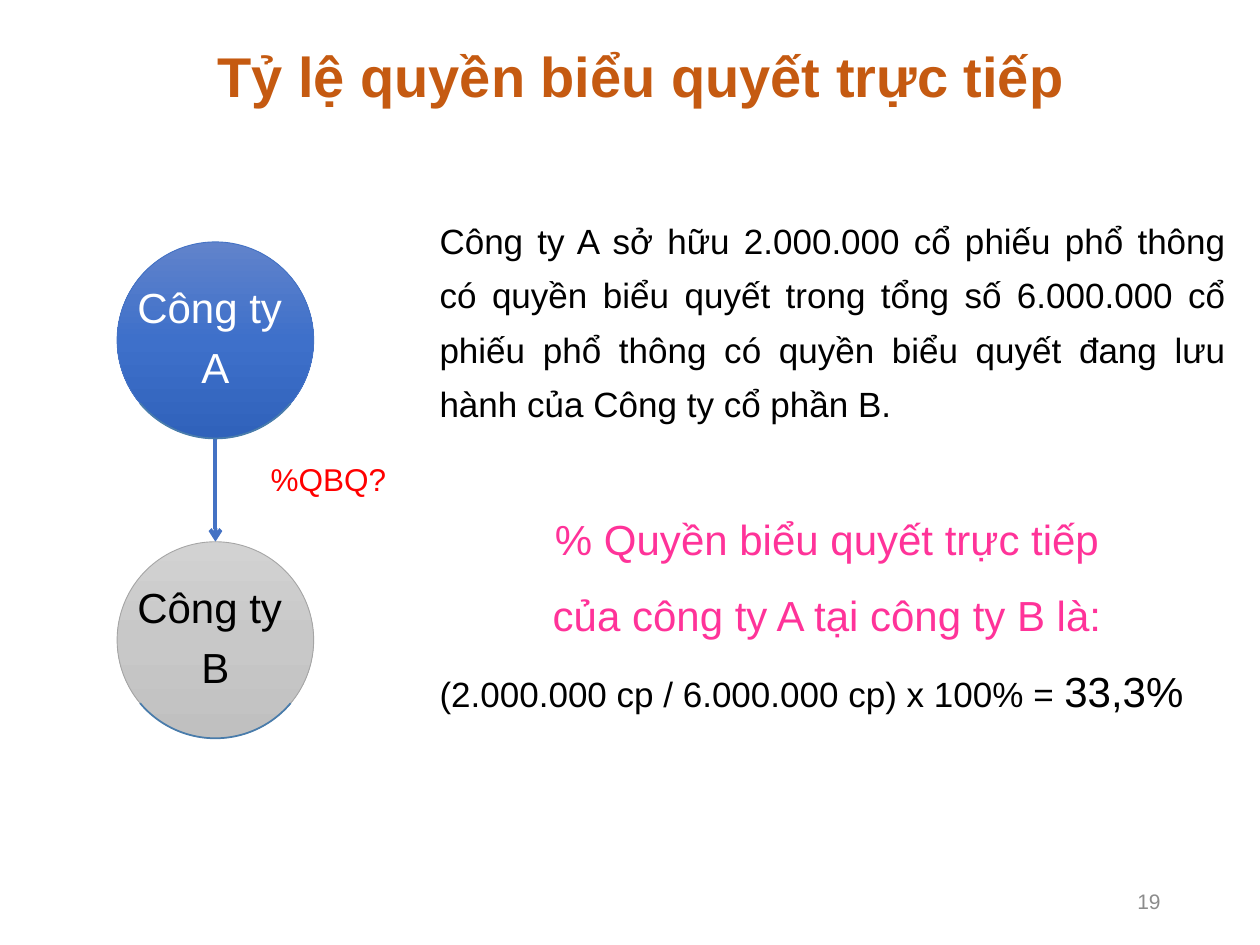
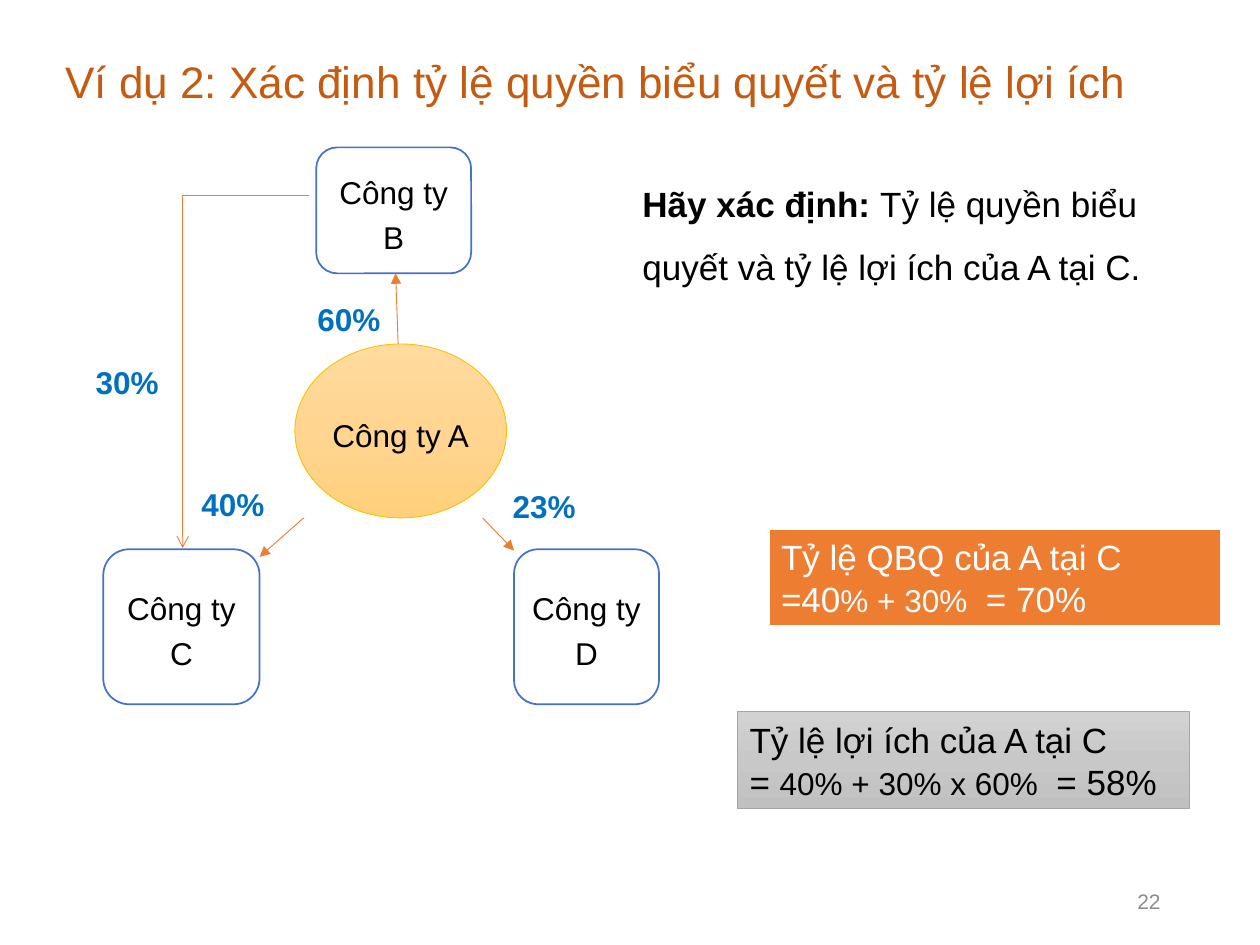
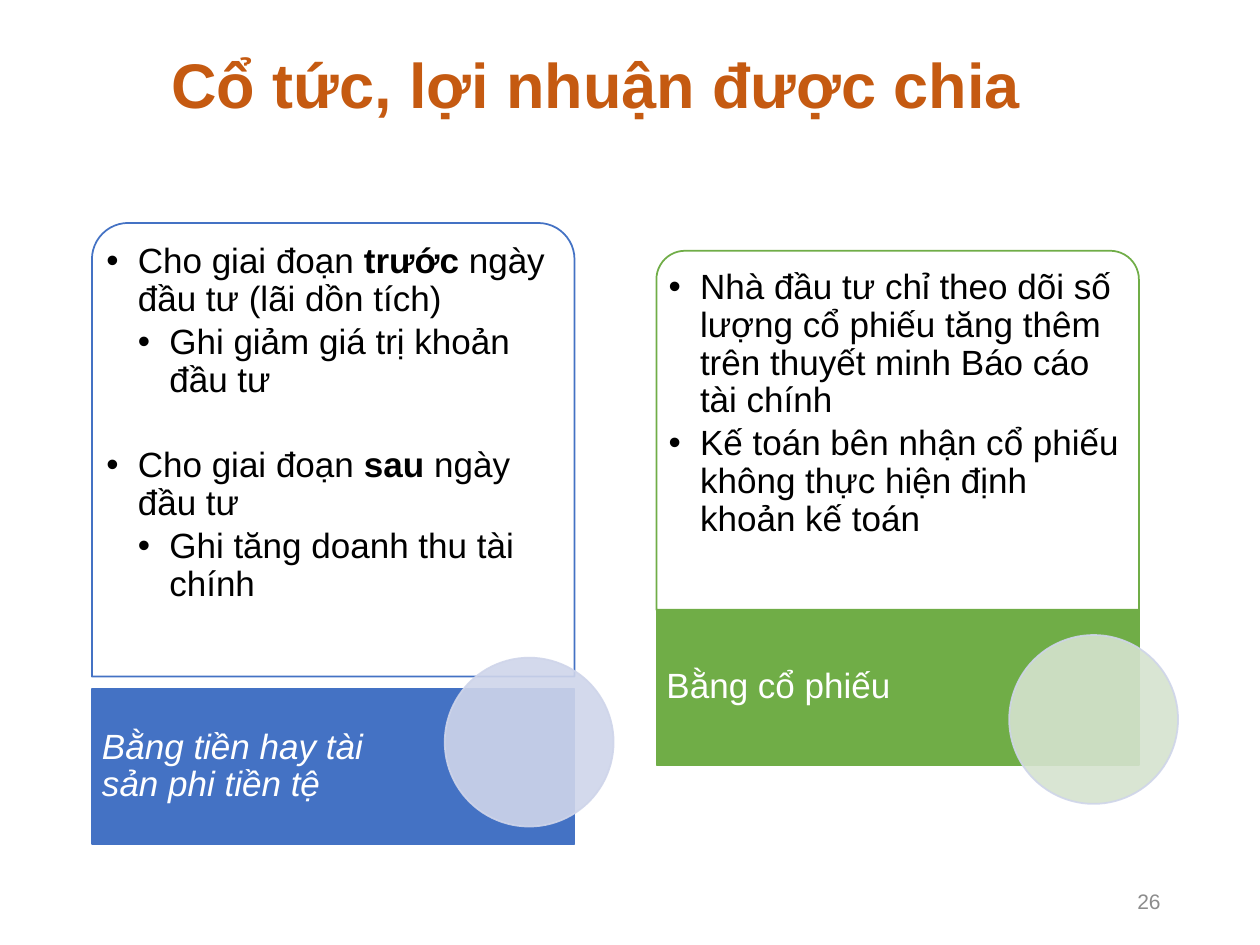
from copy import deepcopy
from dataclasses import dataclass

from lxml.etree import SubElement
from pptx import Presentation
from pptx.dml.color import RGBColor
from pptx.enum.shapes import MSO_CONNECTOR, MSO_SHAPE
from pptx.enum.text import MSO_ANCHOR, PP_ALIGN
from pptx.oxml.ns import qn
from pptx.util import Inches, Pt

COLS, ROWS = 100, 75
FONT = "Arial"
BLACK, WHITE, RED, PINK = "000000", "FFFFFF", "FF0000", "FF3399"
TITLE, BLUE, GREEN, ORANGE = "C55A11", "4472C4", "70AD47", "ED7D31"
PERCENT, ARC, PAGE, DISC = "0070C0", "497CAB", "8C8C8C", "CFD5EA"
GRAY, GOLD = "A5A5A5", "FFC000"
BLUE_FADE = ("6183CB", "3E70CA", "3062BB")
GRAY_FADE = ("D2D2D2", "C8C8C8", "C0C0C0")
GOLD_FADE = ("FFDB9E", "FFD590", "FFD07C")
CENTER, RIGHT, JUSTIFY = PP_ALIGN.CENTER, PP_ALIGN.RIGHT, PP_ALIGN.JUSTIFY
MIDDLE, BOTTOM = MSO_ANCHOR.MIDDLE, MSO_ANCHOR.BOTTOM


@dataclass
class Run:
    """A stretch of text in one style."""
    text: str
    size: float = 20
    color: str = BLACK
    bold: bool = False
    italic: bool = False


@dataclass
class Para:
    """A paragraph of runs; level 1 and up carries a bullet."""
    runs: list
    align: PP_ALIGN = PP_ALIGN.LEFT
    line: float = 1.0
    before: float = 0
    after: float = 0
    level: int = 0


def grid(*values):
    """Turn grid units into lengths; a unit is one column or row."""
    return [Inches(v / 10) for v in values]


def rgb(value):
    """Return the colour of a hex string."""
    return RGBColor.from_string(value)


def bullet(p, level):
    """Give a paragraph a hanging bullet for its level."""
    pPr = p._p.get_or_add_pPr()
    pPr.set("marL", str(Inches(0.25 * level)))
    pPr.set("indent", str(-Inches(0.25)))
    SubElement(pPr, qn("a:buFont")).set("typeface", FONT)
    SubElement(pPr, qn("a:buChar")).set("char", "•")


def write(sp, paras, anchor=MSO_ANCHOR.TOP, inset=(1, 0.5, 1, 0.5)):
    """Fill a shape with paragraphs, run by run."""
    tf = sp.text_frame
    tf.word_wrap = True
    tf.vertical_anchor = anchor
    tf.margin_left, tf.margin_top, tf.margin_right, tf.margin_bottom = grid(*inset)
    for i, para in enumerate(paras):
        p = tf.paragraphs[0] if i == 0 else tf.add_paragraph()
        p.alignment, p.line_spacing = para.align, para.line
        p.space_before, p.space_after = Pt(para.before), Pt(para.after)
        if para.level:
            bullet(p, para.level)
        for run in para.runs:
            r = p.add_run()
            r.text = run.text
            r.font.name, r.font.size = FONT, Pt(run.size)
            r.font.bold, r.font.italic = run.bold, run.italic
            r.font.color.rgb = rgb(run.color)


def add_text(slide, box, paras, **layout):
    """Add a text box at a grid box."""
    write(slide.shapes.add_textbox(*grid(*box)), paras, **layout)


def fade(sp, colors):
    """Fill a shape with an even gradient from top to bottom."""
    sp.fill.gradient()
    sp.fill.gradient_angle = 270
    first = sp._element.spPr.find(".//" + qn("a:gs"))
    first.addnext(deepcopy(first))
    for i, (stop, color) in enumerate(zip(sp.fill.gradient_stops, colors)):
        stop.position = i / (len(colors) - 1)
        stop.color.rgb = rgb(color)


def add_shape(slide, kind, box, fill, line, width=1.0, adjust=()):
    """Add a preset shape; fill is a hex string, a gradient tuple or None."""
    sp = slide.shapes.add_shape(kind, *grid(*box))
    sp.shadow.inherit = False
    for i, value in enumerate(adjust):
        sp.adjustments[i] = value
    if fill is None:
        sp.fill.background()
    elif isinstance(fill, tuple):
        fade(sp, fill)
    else:
        sp.fill.solid()
        sp.fill.fore_color.rgb = rgb(fill)
    sp.line.color.rgb = rgb(line)
    sp.line.width = Pt(width)
    return sp


def see_through(sp, path):
    """Make the colours under a path of the shape 90% opaque."""
    for color in sp._element.spPr.findall(path + "/" + qn("a:srgbClr")):
        SubElement(color, qn("a:alpha")).set("val", "90000")


def add_line(slide, start, end, color, width, head=None):
    """Draw a straight line, with an arrowhead at its end if one is named."""
    sp = slide.shapes.add_connector(MSO_CONNECTOR.STRAIGHT, *grid(*start, *end))
    sp.line.color.rgb = rgb(color)
    sp.line.width = Pt(width)
    if head:
        SubElement(sp.line._get_or_add_ln(), qn("a:tailEnd")).set("type", head)
    SubElement(sp._element.spPr, qn("a:effectLst"))


def start_slide(prs, title, box, size, number, bold=True, align=CENTER):
    """Add a blank slide with its title and page number."""
    slide = prs.slides.add_slide(prs.slide_layouts[6])
    add_text(slide, box, [Para([Run(title, size, TITLE, bold)], align, 0.9)], anchor=BOTTOM)
    add_text(slide, (70.6, 69.5, 22.5, 4), [Para([Run(number, 12, PAGE)], RIGHT)], anchor=MIDDLE)
    return slide


def company_circle(slide, x, y, d, name, fill, line, color):
    """Place a company circle with a lower arc and a two-line name."""
    box = (x, y, d, d)
    add_shape(slide, MSO_SHAPE.OVAL, box, fill, line, 0.5)
    add_shape(slide, MSO_SHAPE.ARC, box, None, ARC, 1, (24, 84))
    lines = [Para([Run(t, 24, color)], CENTER, 0.9, after=8.4) for t in ("Công ty ", name)]
    add_text(slide, (x - d / 2, y + (d - 10) / 2, 2 * d, 10), lines,
             anchor=MIDDLE, inset=(0.2,) * 4)


def voting_chain(slide, x, y, d, h):
    """Place company A above company B, joined by an arrow."""
    mid, low = x + d / 2, y + h - d
    add_line(slide, (mid, y + d), (mid, low), BLUE, 2.25, "arrow")
    company_circle(slide, x, y, d, "A", BLUE_FADE, BLUE, WHITE)
    company_circle(slide, x, low, d, "B", GRAY_FADE, GRAY, BLACK)
    add_text(slide, (x + 11.2, y + 16.8, 11.2, 4), [Para([Run("%QBQ?", 18, RED)])])


def direct_voting(prs):
    """Build the slide on direct voting rights."""
    slide = start_slide(prs, "Tỷ lệ quyền biểu quyết trực tiếp ", (6.9, 1.9, 89.2, 7.3), 32, "19")
    add_text(slide, (33.9, 15.9, 64.4, 43.7), [
        Para([Run("Công ty A sở hữu 2.000.000 cổ phiếu phổ thông có quyền biểu quyết "
                  "trong tổng số 6.000.000 cổ phiếu phổ thông có quyền biểu quyết đang "
                  "lưu hành của Công ty cổ phần B. ")], JUSTIFY, 1.3),
        Para([Run("% Quyền biểu quyết trực tiếp ", 24, PINK)], CENTER, 1.3, 42),
        Para([Run("của công ty A tại công ty B là: ", 24, PINK)], CENTER, 1.3, 6),
        Para([Run("(2.000.000 cp / 6.000.000 cp) x 100% = "), Run("33,3%", 24)],
             line=1.3, before=6)])
    voting_chain(slide, 9.3, 19.2, 15.6, 39.4)


def ownership_network(slide, x, y):
    """Place companies A to D with their holdings, from the top left corner."""
    rounded = MSO_SHAPE.ROUNDED_RECTANGLE
    companies = [
        ("A", MSO_SHAPE.OVAL, (16.8, 15.6, 16.8, 13.8), GOLD_FADE, GOLD, 0.5),
        ("B", rounded, (18.5, 0, 12.3, 10), WHITE, BLUE, 1),
        ("C", rounded, (1.6, 31.9, 12.4, 12.3), WHITE, BLUE, 1),
        ("D", rounded, (34.2, 31.9, 11.5, 12.3), WHITE, BLUE, 1)]
    for name, kind, (dx, dy, w, h), fill, line, width in companies:
        sp = add_shape(slide, kind, (x + dx, y + dy, w, h), fill, line, width)
        write(sp, [Para([Run(f"Công ty {name}", 18)], CENTER, 1.2)], MIDDLE, (0.5,) * 4)
    holdings = [
        ((25, 15.6), (24.8, 10), "triangle"),
        ((31.7, 29.4), (34.2, 32), "triangle"),
        ((17.5, 29.4), (14, 32.5), "triangle"),
        ((7.9, 3.8), (17.9, 3.8), None),
        ((7.9, 3.8), (7.9, 31.8), "arrow")]
    for (x1, y1), (x2, y2), head in holdings:
        add_line(slide, (x + x1, y + y1), (x + x2, y + y2), ORANGE, 0.5, head)
    for label, dx, dy in (("60%", 17.6, 11.6), ("40%", 8.4, 26.3),
                          ("23%", 33.1, 26.5), ("30%", 0, 16.6)):
        add_text(slide, (x + dx, y + dy, 8.1, 4), [Para([Run(label, 18, PERCENT, True)])])


def answer(slide, x, y, look, color, heading, parts):
    """Place an answer panel: a heading over a sum with a smaller middle part."""
    sp = add_shape(slide, MSO_SHAPE.RECTANGLE, (x, y, 35.9, 7.7), *look)
    total = [Run(t, size, color) for t, size in zip(parts, (20, 18, 20))]
    write(sp, [Para([Run(heading, 20, color)]), Para(total)])


def voting_example(prs):
    """Build the slide with the ownership example."""
    slide = start_slide(prs, "Ví dụ 2: Xác định tỷ lệ quyền biểu quyết và tỷ lệ lợi ích",
                        (4.2, 2.7, 90, 6.4), 25.2, "22", False, PP_ALIGN.LEFT)
    ownership_network(slide, 6.6, 11.7)
    add_text(slide, (50, 12.3, 46.9, 10.5), [Para([
        Run("Hãy xác định: ", bold=True),
        Run("Tỷ lệ quyền biểu quyết và tỷ lệ lợi ích của A tại C.")], line=1.5)])
    answer(slide, 61, 42, (ORANGE, WHITE, 1.5), WHITE,
           "Tỷ lệ QBQ của A tại C", ("=40", "% + 30% ", " = 70%"))
    answer(slide, 58.5, 56.5, (GRAY_FADE, GRAY, 0.5), BLACK,
           "Tỷ lệ lợi ích của A tại C", ("= ", "40% + 30% x 60% ", " = 58%"))


def dividend_card(slide, x, y, body_h, gap, disc_dy, color, disc, points, caption):
    """Place a card: bulleted body, caption bar and overlapping disc."""
    w, bar_h, d = 38.3, 12.3, 13.4
    bar_y = y + body_h + gap
    body = add_shape(slide, MSO_SHAPE.ROUND_2_SAME_RECTANGLE, (x, y, w, body_h),
                     WHITE, color, 1, (0.08, 0))
    see_through(body, qn("a:solidFill"))
    write(body, points, inset=(0.3, 0.8, 0.3, 0.3))
    bar = add_shape(slide, MSO_SHAPE.RECTANGLE, (x, bar_y, w, bar_h), color, color)
    write(bar, [Para([caption], line=0.9, after=7)], MIDDLE, (0.8, 0, 11.6, 0))
    circle = add_shape(slide, MSO_SHAPE.OVAL, (x + 28, bar_y + disc_dy, d, d), disc, DISC)
    see_through(circle, ".//" + qn("a:solidFill"))


def point(level, *runs, before=0):
    """Return a bulleted paragraph of a card."""
    return Para(list(runs), line=0.9, before=before, after=3, level=level)


def dividends(prs):
    """Build the slide on dividends in cash and in shares."""
    slide = start_slide(prs, "Cổ tức, lợi nhuận được chia", (4.2, 3.4, 86.2, 6.8), 36, "26")
    dividend_card(slide, 7.3, 17.7, 36, 1, -2.5, BLUE, DISC, [
        point(1, Run("Cho giai đoạn "), Run("trước", bold=True),
              Run(" ngày đầu tư (lãi dồn tích)")),
        point(2, Run("Ghi giảm giá trị khoản đầu tư")),
        point(1, Run("Cho giai đoạn "), Run("sau ", bold=True), Run("ngày đầu tư"), before=24),
        point(2, Run("Ghi tăng doanh thu tài chính"))],
        Run("Bằng tiền hay tài sản phi tiền tệ", color=WHITE, italic=True))
    dividend_card(slide, 52.1, 19.9, 28.5, 0, 2, GREEN, "D5E3CF", [
        point(1, Run("Nhà đầu tư chỉ theo dõi số lượng cổ phiếu tăng thêm trên "
                     "thuyết minh Báo cáo tài chính")),
        point(1, Run("Kế toán bên nhận cổ phiếu không thực hiện định khoản kế toán"))],
        Run("Bằng cổ phiếu", color=WHITE))


def main():
    """Build the deck and save it."""
    prs = Presentation()
    prs.slide_width, prs.slide_height = grid(COLS, ROWS)
    for build in (direct_voting, voting_example, dividends):
        build(prs)
    prs.save("out.pptx")


if __name__ == "__main__":
    main()
